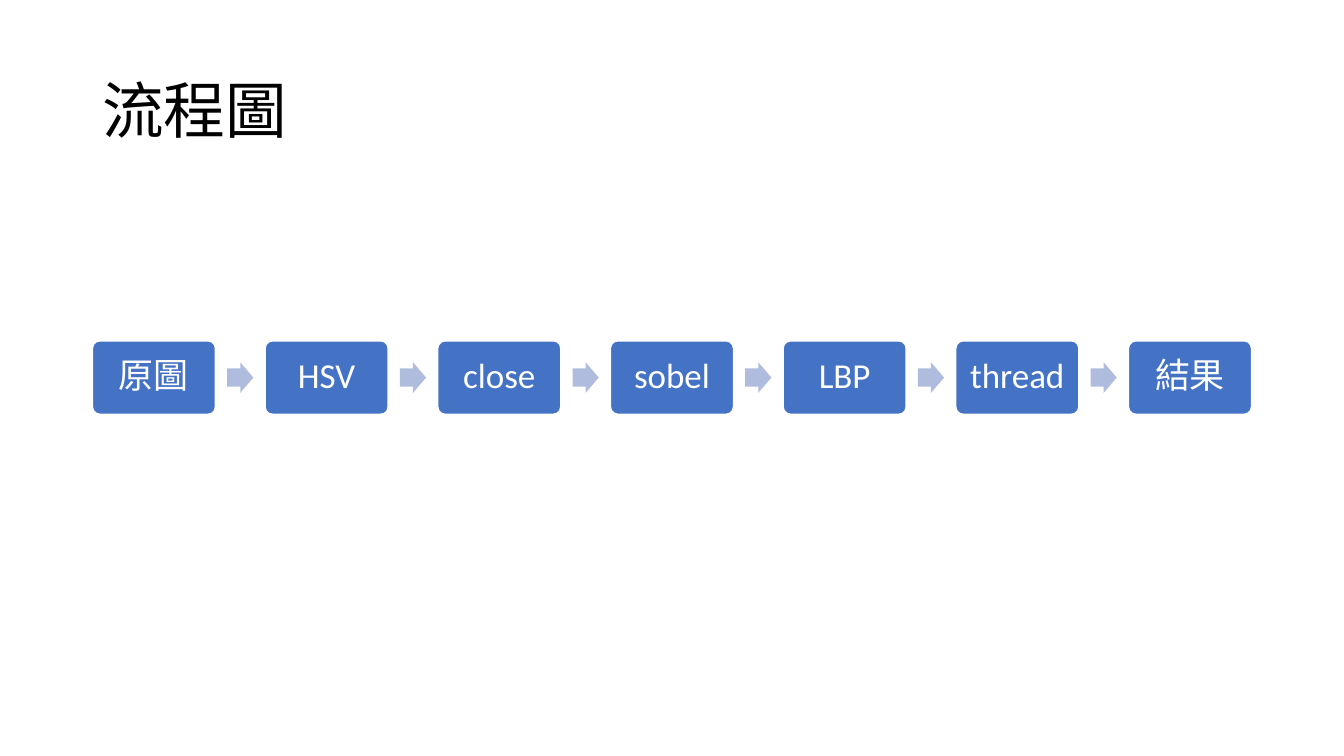
from pptx import Presentation
from pptx.dml.color import RGBColor
from pptx.enum.shapes import MSO_SHAPE
from pptx.enum.text import MSO_ANCHOR, PP_ALIGN
from pptx.util import Cm, Pt

ROUNDED = MSO_SHAPE.ROUNDED_RECTANGLE
ARROW = MSO_SHAPE.RIGHT_ARROW
MIDDLE = MSO_ANCHOR.MIDDLE
LEFT, CENTER = PP_ALIGN.LEFT, PP_ALIGN.CENTER

FONT = "Calibri"
COLORS = {"black": "000000", "white": "FFFFFF", "step": "4472C4", "arrow": "B0BCDE"}
STEPS = ["原圖", "HSV", "close", "sobel", "LBP", "thread", "結果"]
STEP_WIDTH = 3.1
ARROW_WIDTH, ARROW_HEIGHT = 0.66, 0.77


def color(name):
    return RGBColor.from_string(COLORS[name])


def write(shape, text, size, color_name, align):
    frame = shape.text_frame
    frame.word_wrap = True
    frame.vertical_anchor = MIDDLE
    para = frame.paragraphs[0]
    para.alignment = align
    para.line_spacing = 0.9
    span = para.add_run()
    span.text = text
    span.font.name = FONT
    span.font.size = Pt(size)
    span.font.color.rgb = color(color_name)


def add_block(page, kind, left, top, width, height, fill):
    block = page.shapes.add_shape(kind, Cm(left), Cm(top), Cm(width), Cm(height))
    block.shadow.inherit = False
    block.fill.solid()
    block.fill.fore_color.rgb = color(fill)
    return block


def add_title(page, left, top, width, height):
    box = page.shapes.add_textbox(Cm(left), Cm(top), Cm(width), Cm(height))
    write(box, "流程圖", 44, "black", LEFT)


def add_step(page, text, left, top, width, height):
    step = add_block(page, ROUNDED, left, top, width, height, "step")
    step.adjustments[0] = 0.1
    step.line.color.rgb = color("white")
    step.line.width = Pt(1)
    frame = step.text_frame
    frame.margin_left = frame.margin_right = Cm(0.25)
    frame.margin_top = frame.margin_bottom = Cm(0.25)
    write(step, text, 25, "white", CENTER)


def add_arrow(page, left, top):
    arrow = add_block(page, ARROW, left, top, ARROW_WIDTH, ARROW_HEIGHT, "arrow")
    arrow.adjustments[0] = 0.6
    arrow.adjustments[1] = 0.5
    arrow.line.fill.background()


def add_flow(page, left, top, width, height):
    pitch = (width - STEP_WIDTH) / (len(STEPS) - 1)
    arrow_offset = STEP_WIDTH + (pitch - STEP_WIDTH - ARROW_WIDTH) / 2
    arrow_top = top + (height - ARROW_HEIGHT) / 2
    for index, text in enumerate(STEPS):
        step_left = left + index * pitch
        add_step(page, text, step_left, top, STEP_WIDTH, height)
        if index < len(STEPS) - 1:
            add_arrow(page, step_left + arrow_offset, arrow_top)


def main():
    deck = Presentation()
    deck.slide_width, deck.slide_height = Cm(33.87), Cm(19.05)
    page = deck.slides.add_slide(deck.slide_layouts[6])
    # Heading
    add_title(page, 2.33, 1.01, 29.21, 3.68)
    # Row of processing steps
    add_flow(page, 2.33, 8.59, 29.21, 1.85)
    deck.save("out.pptx")


if __name__ == "__main__":
    main()
